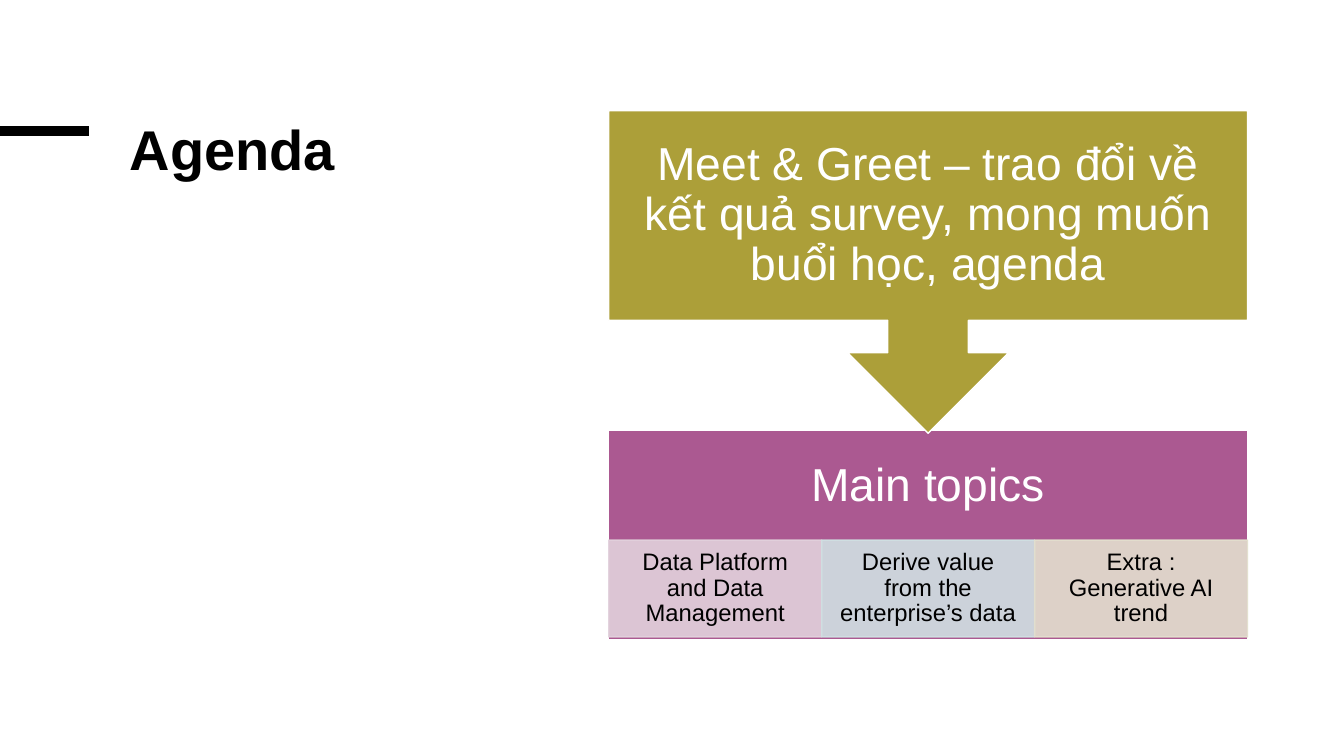
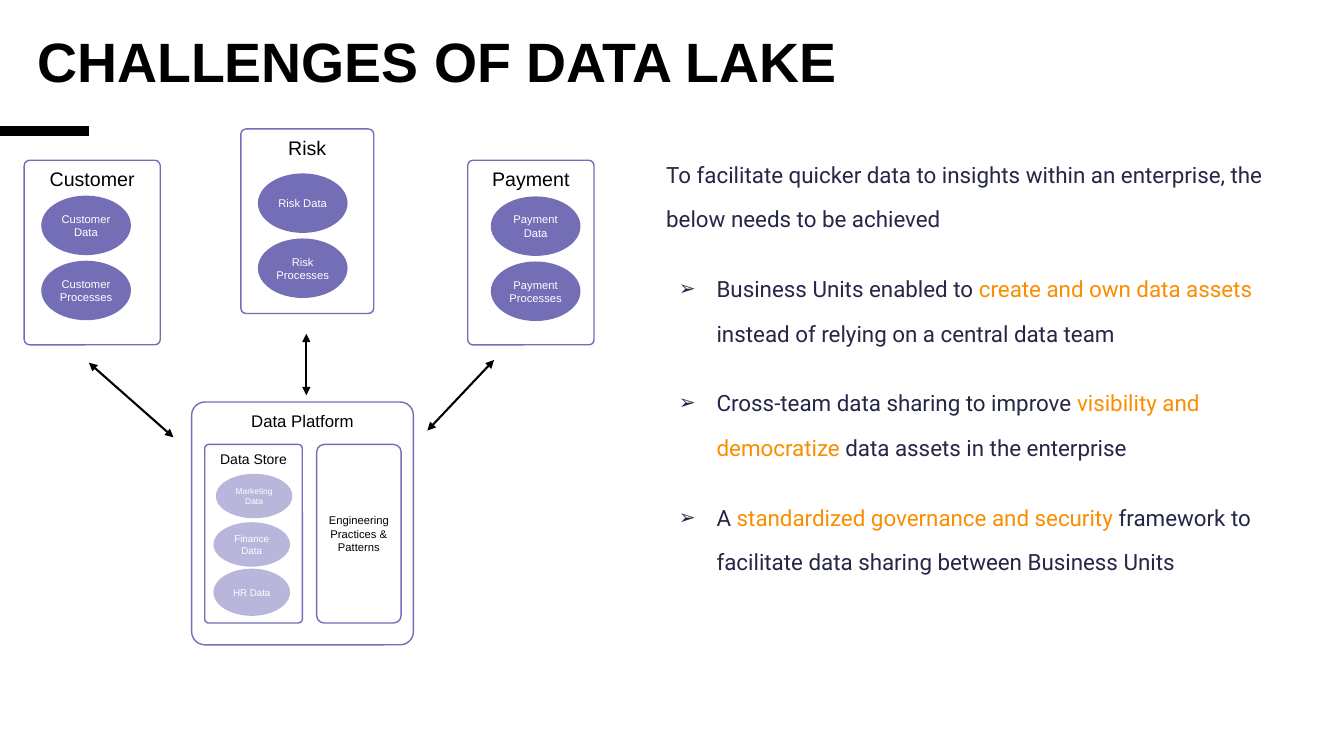
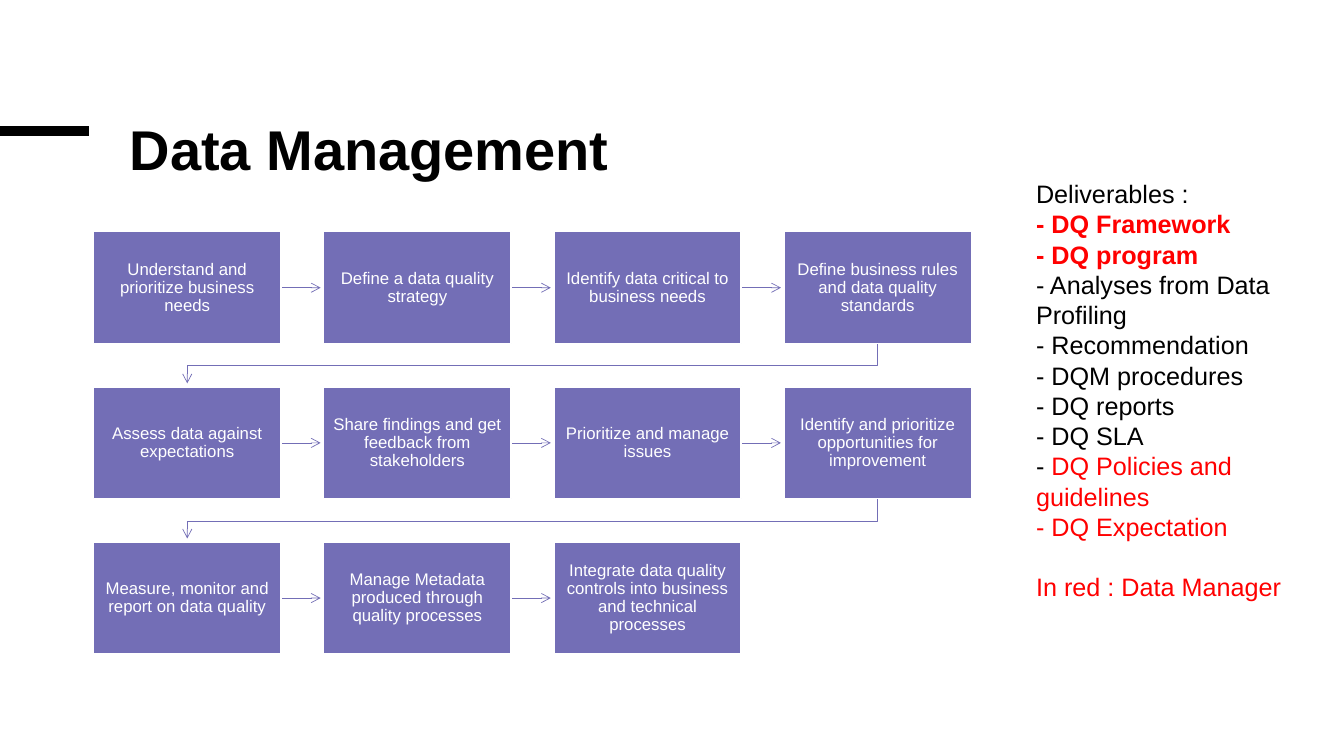
from lxml import etree
from pptx import Presentation
from pptx import util as u
from pptx.dml.color import RGBColor
from pptx.enum import shapes, text
from pptx.oxml import ns

Cm, Pt = u.Cm, u.Pt
Preset = shapes.MSO_SHAPE
Anchor = text.MSO_ANCHOR
Align = text.PP_ALIGN

BLACK = RGBColor(0x00, 0x00, 0x00)
WHITE = RGBColor(0xFF, 0xFF, 0xFF)
VIOLET = RGBColor(0x73, 0x6E, 0xB6)
OLIVE = RGBColor(0xAC, 0x9F, 0x39)
MAGENTA = RGBColor(0xAB, 0x59, 0x91)
PINK = RGBColor(0xE2, 0xD1, 0xDC)
ICE = RGBColor(0xD0, 0xE0, 0xE2)
SAND = RGBColor(0xE3, 0xDF, 0xCE)
NAVY = RGBColor(0x25, 0x27, 0x47)
ORANGE = RGBColor(0xF9, 0x8E, 0x00)
RED = RGBColor(0xFF, 0x00, 0x00)


def add_xml(parent, tag, **attributes):
    return etree.SubElement(parent, ns.qn(tag), attributes)


class Deck:
    """Holds the shared style and the slide being filled; lengths are in cm."""

    FONT = "Arial"

    def __init__(self):
        self.prs = Presentation()
        self.prs.slide_width, self.prs.slide_height = Cm(33.87), Cm(19.05)
        self.slide = None

    def new_slide(self, title, left, top, width, height, size=40):
        """Blank slide with the short black bar and a bold title."""
        self.slide = self.prs.slides.add_slide(self.prs.slide_layouts[6])
        self.line((0, 3.3), (2.24, 3.3), BLACK, 6.75)
        frame = self.text_box(left, top, width, height)
        heading = frame.paragraphs[0]
        heading.line_spacing = 0.85
        self.run(heading, title, size, BLACK, bold=True)

    def run(self, paragraph, words, size, color, bold=False, font=FONT):
        run = paragraph.add_run()
        run.text = words
        run.font.name, run.font.size = font, Pt(size)
        run.font.bold = bold
        run.font.color.rgb = color

    def text_box(self, left, top, width, height, insets=(0.25, 0.13)):
        box = self.slide.shapes.add_textbox(Cm(left), Cm(top), Cm(width), Cm(height))
        frame = box.text_frame
        frame.word_wrap = True
        self.set_insets(frame, *insets)
        return frame

    def set_insets(self, frame, side, end, bottom=None):
        frame.margin_left = frame.margin_right = Cm(side)
        frame.margin_top = Cm(end)
        frame.margin_bottom = Cm(end if bottom is None else bottom)

    def shape(self, preset, left, top, width, height, words, size, color=WHITE,
              fill=None, line=None, opacity=100, corner=None, spacing=1.0,
              insets=(0.13, 0.13), anchor=Anchor.MIDDLE):
        """Preset shape with one centred paragraph."""
        shape = self.slide.shapes.add_shape(
            preset, Cm(left), Cm(top), Cm(width), Cm(height))
        shape.shadow.inherit = False
        if corner is not None:
            shape.adjustments[0] = corner
        if fill is None:
            shape.fill.background()
        else:
            shape.fill.solid()
            shape.fill.fore_color.rgb = fill
        if line is None:
            shape.line.fill.background()
        else:
            shape.line.color.rgb = line
            shape.line.width = Pt(1)
        if opacity < 100:
            for tint in shape.element.spPr.iter(ns.qn("a:srgbClr")):
                add_xml(tint, "a:alpha", val=str(opacity * 1000))
        frame = shape.text_frame
        frame.word_wrap = True
        frame.vertical_anchor = anchor
        self.set_insets(frame, *insets)
        paragraph = frame.paragraphs[0]
        paragraph.alignment = Align.CENTER
        paragraph.line_spacing = spacing
        self.run(paragraph, words, size, color)

    def frame(self, left, top, width, height, words, size, corner=0.04,
              anchor=Anchor.TOP):
        """Outlined rounded box with a black label."""
        self.shape(Preset.ROUNDED_RECTANGLE, left, top, width, height, words, size,
                   BLACK, line=VIOLET, corner=corner, anchor=anchor)

    def oval(self, left, top, width, height, words, size, opacity=100):
        self.shape(Preset.OVAL, left, top, width, height, words, size,
                   fill=VIOLET, opacity=opacity, insets=(0.1, 0.1))

    def style_line(self, shape, color, width, head=None, tail=None):
        shape.line.color.rgb = color
        shape.line.width = Pt(width)
        outline = shape.element.spPr.find(ns.qn("a:ln"))
        for tag, kind in (("a:headEnd", head), ("a:tailEnd", tail)):
            if kind:
                add_xml(outline, tag, type=kind)

    def line(self, start, end, color, width, head=None, tail=None):
        line = self.slide.shapes.add_connector(
            shapes.MSO_CONNECTOR.STRAIGHT, *map(Cm, start + end))
        self.style_line(line, color, width, head, tail)
        add_xml(line.element.spPr, "a:effectLst")

    def bent_arrow(self, points, color, width):
        first, *rest = [(Cm(x), Cm(y)) for x, y in points]
        builder = self.slide.shapes.build_freeform(*first)
        builder.add_line_segments(rest, close=False)
        path_shape = builder.convert_to_shape()
        path_shape.shadow.inherit = False
        path_shape.fill.background()
        self.style_line(path_shape, color, width, tail="arrow")

    def bullet(self, paragraph, char):
        props = paragraph._p.get_or_add_pPr()
        props.set("marL", str(Cm(1.27)))
        props.set("indent", str(-Cm(0.95)))
        add_xml(props, "a:buSzPct", val="90000")
        add_xml(props, "a:buFont", typeface=self.FONT)
        add_xml(props, "a:buChar", char=char)


def agenda(deck):
    deck.new_slide("Agenda", 3.02, 3.02, 10.46, 6.5)
    left, width = 15.34, 16.1

    # Main topics with three tiles along the foot
    tile_top, tile_width, tile_height = 13.61, width / 3, 2.44
    deck.shape(Preset.RECTANGLE, left, 10.85, width, 5.28, "Main topics", 33,
               fill=MAGENTA, line=WHITE, spacing=0.9, insets=(0.66, 0.66, 3.1))
    topics = [
        ("Data Platform and Data Management", PINK),
        ("Derive value from the enterprise’s data", ICE),
        ("Extra : Generative AI trend", SAND),
    ]
    for i, (topic, tint) in enumerate(topics):
        deck.shape(Preset.RECTANGLE, left + i * tile_width, tile_top, tile_width,
                   tile_height, topic, 17, BLACK, fill=tint, line=tint,
                   opacity=90, spacing=0.9, insets=(0.33, 0.05))

    # Opening step pointing down to the topics
    deck.shape(Preset.DOWN_ARROW_CALLOUT, left, 2.79, width, 8.13,
               "Meet & Greet – trao đổi về kết quả survey, mong muốn buổi học, agenda",
               33, fill=OLIVE, line=WHITE, spacing=0.9, insets=(0.66, 0.66))


def challenges(deck):
    deck.new_slide("CHALLENGES OF DATA LAKE", 0.69, 0.81, 30.48, 1.5, 39.6)

    # Business units: label, frame left, top and width, ovals left and top
    units = [
        ("Customer", 0.61, 4.04, 3.43, 1.04, 4.93),
        ("Risk", 6.07, 3.25, 3.35, 6.5, 4.37),
        ("Payment", 11.79, 4.04, 3.18, 12.37, 4.95),
    ]
    for unit, left, top, width, oval_left, oval_top in units:
        deck.frame(left, top, width, 4.65, unit, 14)
        for i, part in enumerate(("Data", "Processes")):
            deck.oval(oval_left, oval_top + i * 1.64, 2.26, 1.5, f"{unit} {part}", 8)

    # Central platform
    deck.frame(4.83, 10.13, 5.59, 6.12, "Data Platform", 12, corner=0.06)
    deck.frame(5.16, 11.2, 2.46, 4.5, "Data Store", 10)
    deck.frame(7.98, 11.2, 2.13, 4.5, "Engineering Practices & Patterns", 8,
               corner=0.09, anchor=Anchor.MIDDLE)
    stores = [
        ("Marketing Data", 5.44, 11.94, 1.12, 6),
        ("Finance Data", 5.38, 13.16, 1.12, 7),
        ("HR Data", 5.38, 14.33, 1.19, 7),
    ]
    for store, left, top, height, size in stores:
        deck.oval(left, top, 1.93, height, store, size, opacity=50)

    # Two-way links between units and platform
    links = [
        ((2.24, 9.14), (4.37, 11.02)),
        ((7.72, 8.41), (7.72, 9.96)),
        ((12.45, 9.07), (10.77, 10.85)),
    ]
    for start, end in links:
        deck.line(start, end, BLACK, 1.5, "triangle", "triangle")

    # Goals: plain start, highlighted middle, plain end
    goals = [
        ("To facilitate quicker data to insights within an enterprise, "
         "the below needs to be achieved",),
        ("Business Units enabled to ", "create and own data assets ",
         "instead of relying on a central data team"),
        ("Cross-team data sharing to improve ", "visibility and democratize ",
         "data assets in the enterprise"),
        ("A ", "standardized governance and security ",
         "framework to facilitate data sharing between Business Units"),
    ]
    frame = deck.text_box(16.79, 3.48, 16.59, 12.98, insets=(0, 0.13))
    for i, parts in enumerate(goals):
        goal = frame.add_paragraph() if i else frame.paragraphs[0]
        if i:
            deck.bullet(goal, "➢")
        goal.line_spacing = Pt(31.8)
        goal.space_after = Pt(18)
        for part, color in zip(parts, (NAVY, ORANGE, NAVY)):
            deck.run(goal, part, 16, color, font="Roboto")


def data_management(deck):
    deck.new_slide("Data Management", 3.02, 3.02, 27.13, 6.5)

    # Process steps, four to a row
    steps = [
        "Understand and prioritize business needs",
        "Define a data quality strategy",
        "Identify data critical to business needs",
        "Define business rules and data quality standards",
        "Assess data against expectations",
        "Share findings and get feedback from stakeholders",
        "Prioritize and manage issues",
        "Identify and prioritize opportunities for improvement",
        "Measure, monitor and report on data quality",
        "Manage Metadata produced through quality processes",
        "Integrate data quality controls into business and technical processes",
    ]
    columns, first_left, first_top = 4, 2.36, 5.84
    width, height, arrow = 4.72, 2.82, 1.0
    for i, step in enumerate(steps):
        row, column = divmod(i, columns)
        left, top = first_left + column * 5.8, first_top + row * 3.91
        right, bottom, middle = left + width, top + height, top + height / 2
        if i < len(steps) - 1:
            if column < columns - 1:
                deck.line((right, middle), (right + arrow, middle), VIOLET, 0.5,
                          tail="arrow")
            else:
                start_x, end_x = left + width / 2, first_left + width / 2
                turn = bottom + 0.56
                deck.bent_arrow([(start_x, bottom), (start_x, turn), (end_x, turn),
                                 (end_x, bottom + arrow)], VIOLET, 0.5)
        deck.shape(Preset.RECTANGLE, left, top, width, height, step, 12,
                   fill=VIOLET, line=WHITE, spacing=0.9, insets=(0.23, 0.25))

    # Deliverables: runs of words, colour and weight
    deliverables = [
        [("Deliverables :", BLACK, False)],
        [("- DQ Framework", RED, True)],
        [("- DQ program", RED, True)],
        [("- Analyses from Data Profiling", BLACK, False)],
        [("- Recommendation", BLACK, False)],
        [("- DQM procedures", BLACK, False)],
        [("- DQ reports", BLACK, False)],
        [("- DQ SLA", BLACK, False)],
        [("- ", BLACK, False), ("DQ Policies and guidelines", RED, False)],
        [("- DQ Expectation", RED, False)],
        [("In red : Data Manager", RED, False)],
    ]
    frame = deck.text_box(25.86, 4.37, 7.09, 12.57)
    for i, runs in enumerate(deliverables):
        entry = frame.add_paragraph() if i else frame.paragraphs[0]
        for words, color, bold in runs:
            deck.run(entry, words, 18, color, bold)
    entry.space_before = Pt(21.6)


def main():
    deck = Deck()
    agenda(deck)
    challenges(deck)
    data_management(deck)
    deck.prs.save("out.pptx")


if __name__ == "__main__":
    main()
